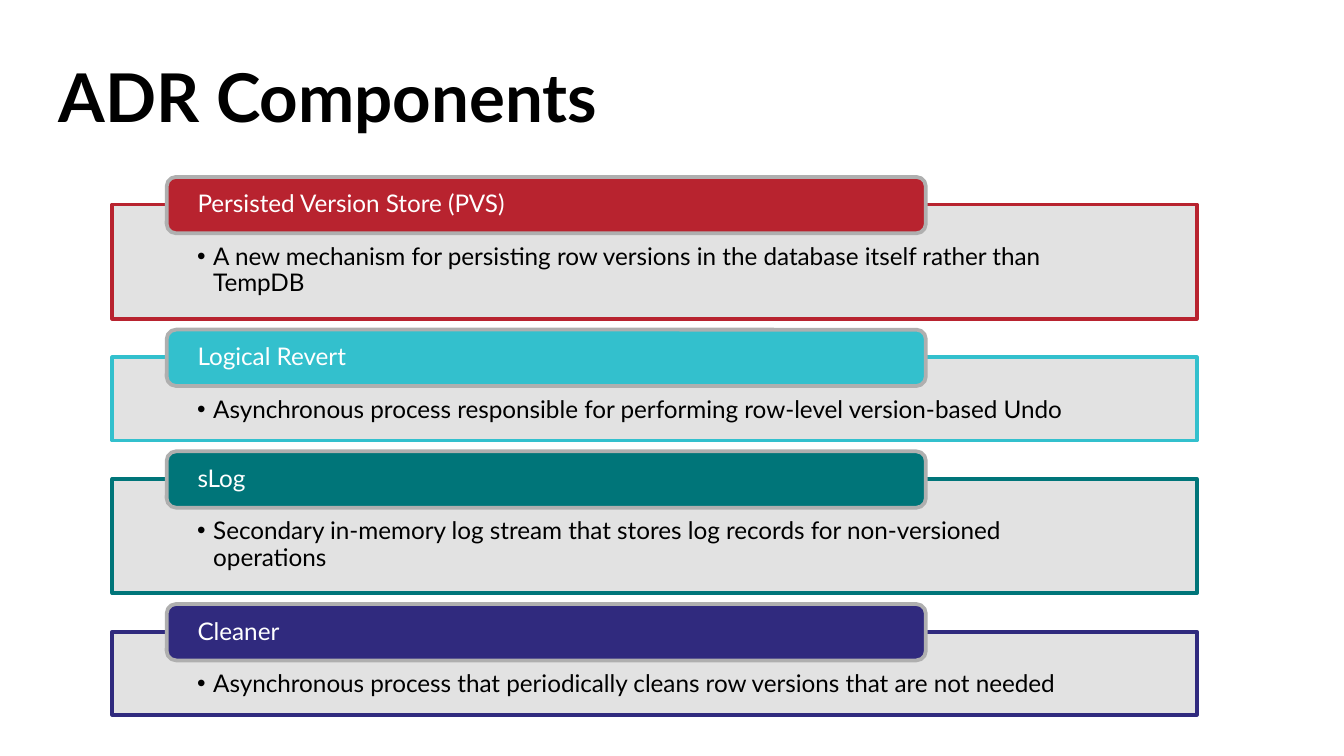
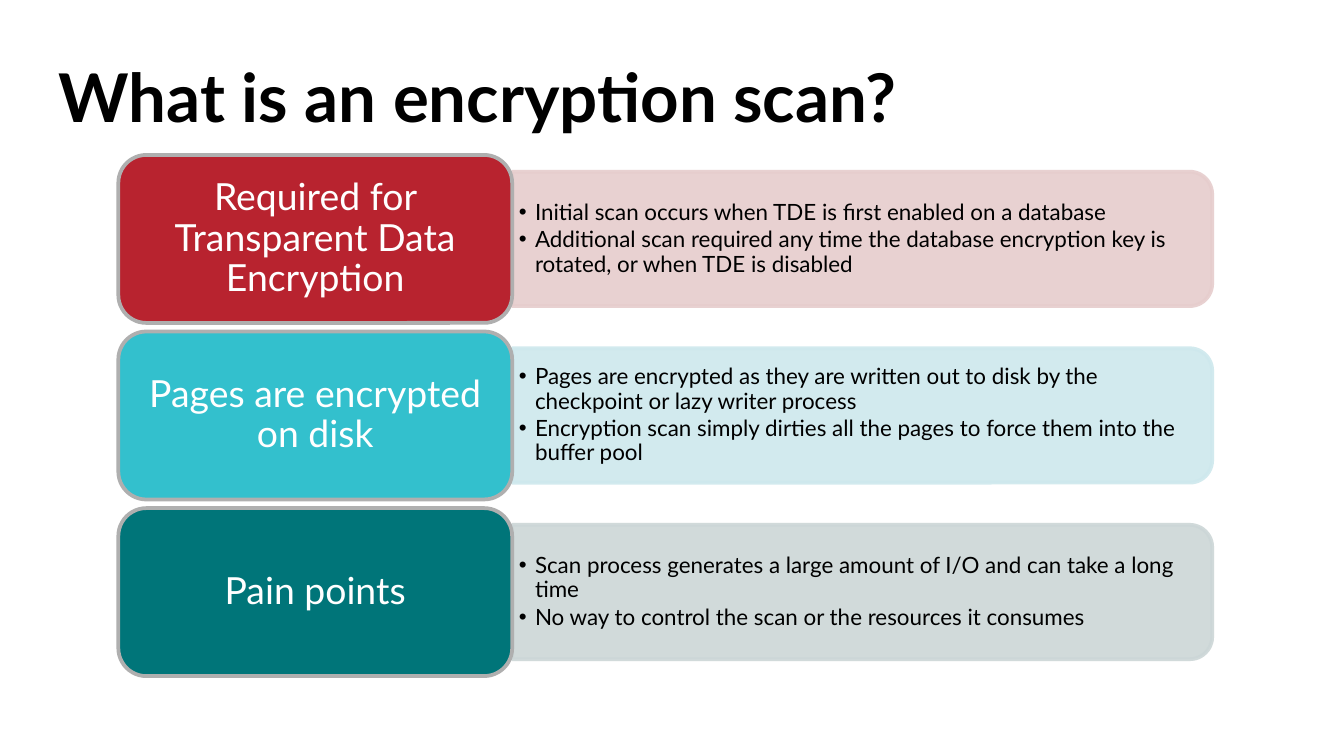
from dataclasses import dataclass

from lxml import etree
from pptx import Presentation
from pptx import util as u
from pptx.dml.color import RGBColor
from pptx.enum import shapes, text
from pptx.oxml.ns import qn

Pt = u.Pt
FONT = "Lato"
BLACK, WHITE = "000000", "FFFFFF"
RED, CYAN, TEAL, NAVY = "B8232F", "33C0CD", "007579", "302A7E"
FRAME_FILL, LABEL_EDGE = "DFDFDF", "AFAFAF"
HANG = 8.64
TOP, MIDDLE = text.MSO_ANCHOR.TOP, text.MSO_ANCHOR.MIDDLE
LEFT, CENTER = text.PP_ALIGN.LEFT, text.PP_ALIGN.CENTER


@dataclass(frozen=True)
class Box:
    x: float
    y: float
    w: float
    h: float

    def lengths(self) -> tuple:
        return Pt(self.x), Pt(self.y), Pt(self.w), Pt(self.h)


@dataclass(frozen=True)
class Style:
    size: float
    color: str
    insets: tuple
    anchor: text.MSO_ANCHOR = MIDDLE
    align: text.PP_ALIGN = LEFT
    bold: bool = False
    bullet: bool = False
    spacing: float | u.Length = 0.9
    after: float = 0.35  # share of the text size


@dataclass(frozen=True)
class Component:
    name: str
    detail: str
    color: str
    height: float


@dataclass(frozen=True)
class Topic:
    name: str
    details: tuple
    color: str
    tint: str


TITLE = Style(36, BLACK, (7.2, 3.6, 7.2, 3.6), TOP, bold=True, spacing=Pt(35), after=0)
COMPONENT_NAME = Style(13, WHITE, (15.1, 0, 15.1, 0))
COMPONENT_DETAIL = Style(13, BLACK, (45.4, 21.4, 45.4, 7.2), TOP, bullet=True, after=0.15)
TOPIC_NAME = Style(20, WHITE, (6, 3, 6, 3), align=CENTER)
TOPIC_DETAIL = Style(12, BLACK, (3.6, 2.2, 3.6, 2.2), bullet=True, after=0.15)

TALL, SHORT = 61.2, 44.6
COMPONENTS = (
    Component("Persisted Version Store (PVS)",
              "A new mechanism for persisting row versions in the database itself rather than TempDB",
              RED, TALL),
    Component("Logical Revert",
              "Asynchronous process responsible for performing row-level version-based Undo",
              CYAN, SHORT),
    Component("sLog",
              "Secondary in-memory log stream that stores log records for non-versioned operations",
              TEAL, TALL),
    Component("Cleaner",
              "Asynchronous process that periodically cleans row versions that are not needed",
              NAVY, SHORT),
)
TOPICS = (
    Topic("Required for Transparent Data Encryption",
          ("Initial scan occurs when TDE is first enabled on a database",
           "Additional scan required any time the database encryption key is rotated, "
           "or when TDE is disabled"),
          RED, "E6CDCD"),
    Topic("Pages are encrypted on disk",
          ("Pages are encrypted as they are written out to disk by the checkpoint "
           "or lazy writer process",
           "Encryption scan simply dirties all the pages to force them into the buffer pool"),
          CYAN, "CEE8ED"),
    Topic("Pain points",
          ("Scan process generates a large amount of I/O and can take a long time",
           "No way to control the scan or the resources it consumes"),
          TEAL, "CCD6D7"),
)


def rgb(color: str) -> RGBColor:
    return RGBColor.from_string(color)


def set_all(obj, values: dict) -> None:
    for name, value in values.items():
        setattr(obj, name, value)


def add_bullet(p) -> None:
    """Give a paragraph a hanging round bullet."""
    p.level = 1
    pPr = p._p.get_or_add_pPr()
    pPr.set("marL", str(Pt(HANG)))
    pPr.set("indent", str(-Pt(HANG)))
    etree.SubElement(pPr, qn("a:buFont")).set("typeface", "Arial")
    etree.SubElement(pPr, qn("a:buChar")).set("char", "•")


def write(sp, lines: tuple, style: Style) -> None:
    tf = sp.text_frame
    sides = ("margin_left", "margin_top", "margin_right", "margin_bottom")
    set_all(tf, {"word_wrap": True, "vertical_anchor": style.anchor,
                 **{side: Pt(inset) for side, inset in zip(sides, style.insets)}})
    for i, line in enumerate(lines):
        p = tf.add_paragraph() if i else tf.paragraphs[0]
        if style.bullet:
            add_bullet(p)
        set_all(p, {"alignment": style.align, "line_spacing": style.spacing,
                    "space_before": Pt(0), "space_after": Pt(style.size * style.after)})
        r = p.add_run()
        r.text = line
        set_all(r.font, {"name": FONT, "size": Pt(style.size), "bold": style.bold})
        r.font.color.rgb = rgb(style.color)


def add_text(s, box: Box, lines: tuple, style: Style) -> None:
    write(s.shapes.add_textbox(*box.lengths()), lines, style)


def add_panel(s, kind, box: Box, fill: str, edge: str, faded: tuple = ()):
    """Add a filled shape; the XML paths in faded get 90 % opacity."""
    sp = s.shapes.add_shape(kind, *box.lengths())
    sp.shadow.inherit = False
    sp.fill.solid()
    sp.fill.fore_color.rgb = rgb(fill)
    sp.line.color.rgb = rgb(edge)
    sp.line.width = Pt(2)
    for where in faded:
        for clr in sp._element.spPr.xpath(where):
            etree.SubElement(clr, qn("a:alpha")).set("val", "90000")
    return sp


FILL_COLOR, EDGE_COLOR = "./a:solidFill/a:srgbClr", "./a:ln/a:solidFill/a:srgbClr"


def add_label(s, box: Box, name: str, color: str, style: Style) -> None:
    sp = add_panel(s, shapes.MSO_SHAPE.ROUNDED_RECTANGLE, box, color, LABEL_EDGE)
    write(sp, (name,), style)


def add_titled_slide(prs, title: str):
    s = prs.slides.add_slide(prs.slide_layouts[6])
    add_text(s, Box(24.5, 34.5, 664, 48), (title,), TITLE)
    return s


def build_components(prs) -> None:
    s = add_titled_slide(prs, "ADR Components")
    top, gap, rise = 109.6, 20.6, 14.8
    for c in COMPONENTS:
        frame = add_panel(s, shapes.MSO_SHAPE.RECTANGLE, Box(60.2, top, 581, c.height),
                          FRAME_FILL, c.color, (FILL_COLOR,))
        write(frame, (c.detail,), COMPONENT_DETAIL)
        add_label(s, Box(89.3, top - rise, 406.7, 30.2), c.name, c.color, COMPONENT_NAME)
        top += c.height + gap


def build_encryption_scan(prs) -> None:
    s = add_titled_slide(prs, "What is an encryption scan?")
    label_x, label_w, label_h, pitch = 63.4, 211, 90, 94.6
    panel_w, panel_h = 375, 72
    panel_x = label_x + label_w
    for i, t in enumerate(TOPICS):
        top = 83 + i * pitch
        middle = top + label_h / 2
        # The panel stands upright before its quarter turn.
        upright = Box(panel_x + (panel_w - panel_h) / 2, middle - panel_w / 2,
                      panel_h, panel_w)
        panel = add_panel(s, shapes.MSO_SHAPE.ROUND_2_SAME_RECTANGLE, upright,
                          t.tint, t.tint, (FILL_COLOR, EDGE_COLOR))
        panel.rotation = 90
        add_text(s, Box(panel_x, middle - 32.5, 371.5, 65), t.details, TOPIC_DETAIL)
        add_label(s, Box(label_x, top, label_w, label_h), t.name, t.color, TOPIC_NAME)


def main() -> None:
    prs = Presentation()
    set_all(prs, {"slide_width": Pt(720), "slide_height": Pt(405)})
    build_components(prs)
    build_encryption_scan(prs)
    prs.save("out.pptx")


if __name__ == "__main__":
    main()
